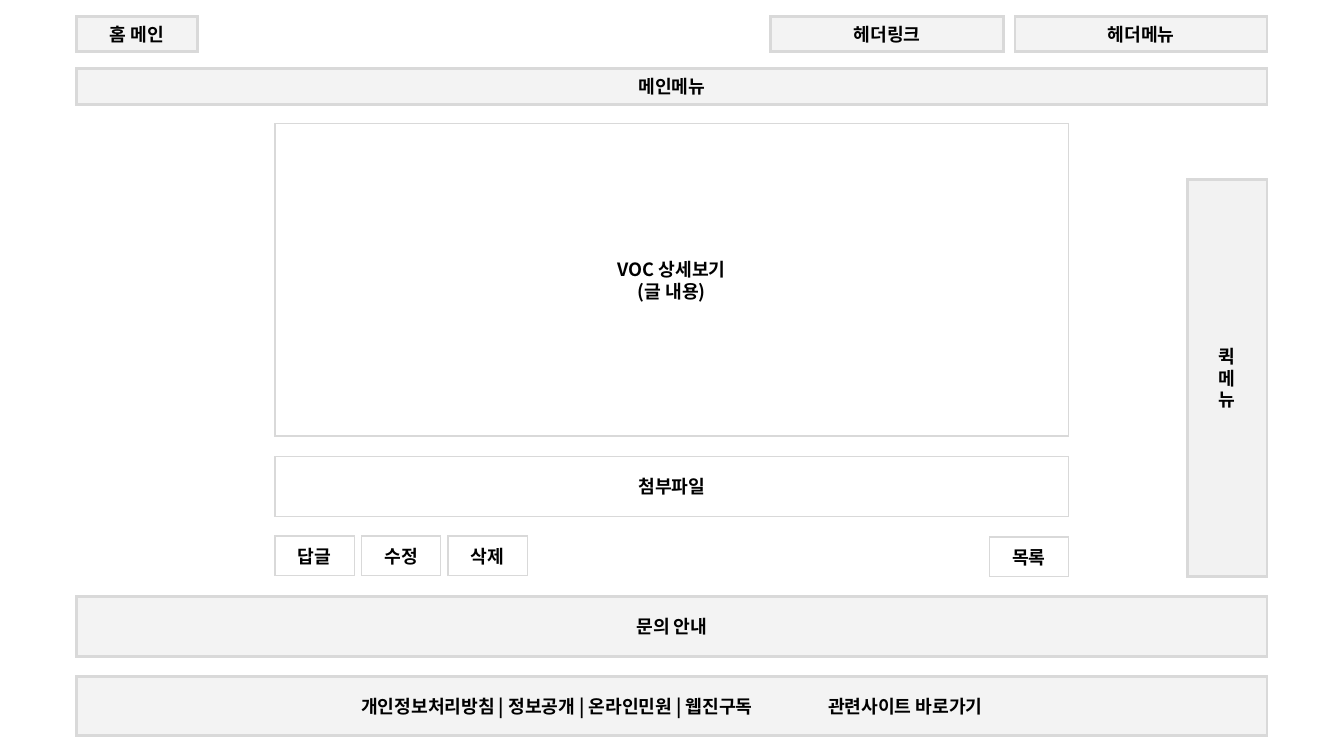
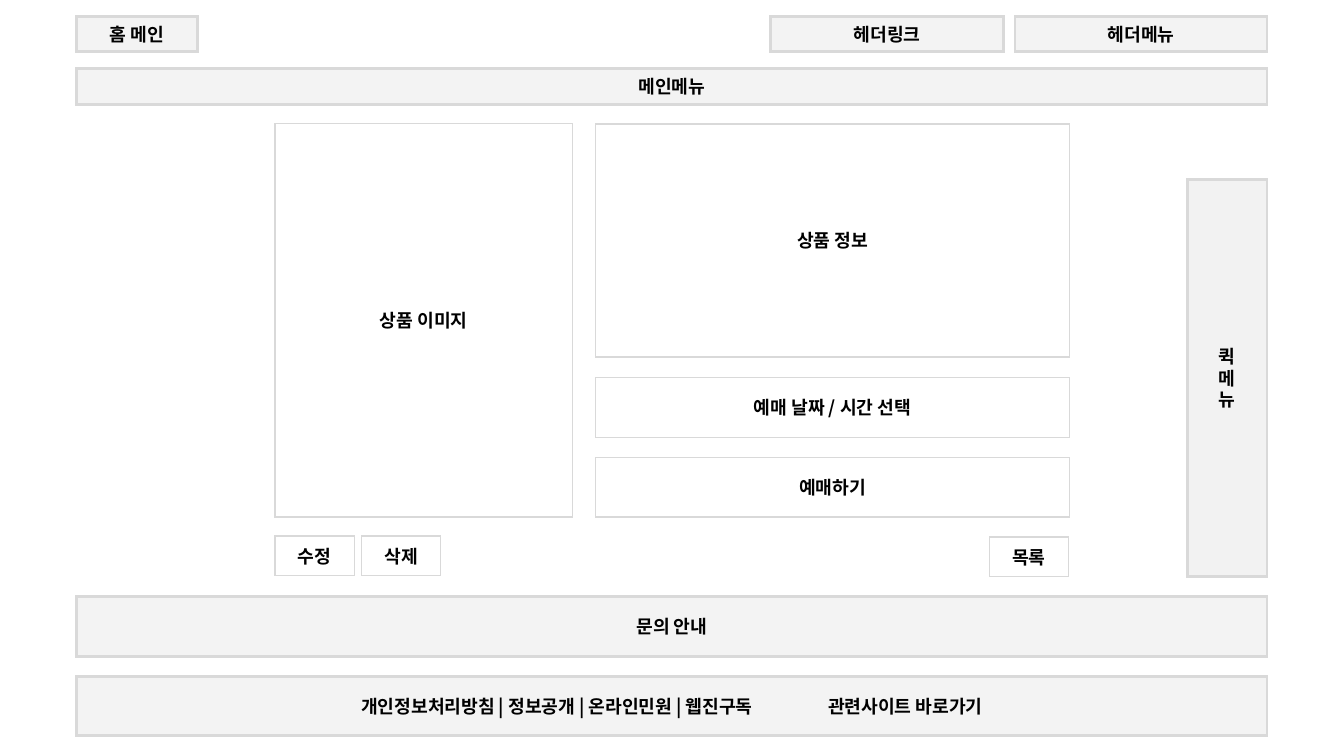
"""Build two wireframe slides: a VOC detail page and a product booking page."""
import lxml.etree
import pptx
import pptx.dml.color
import pptx.enum.shapes
import pptx.enum.text
import pptx.oxml.ns
import pptx.util

Cm = pptx.util.Cm
Pt = pptx.util.Pt
RGBColor = pptx.dml.color.RGBColor
qn = pptx.oxml.ns.qn

WHITE = RGBColor(0xFF, 0xFF, 0xFF)
BLACK = RGBColor(0, 0, 0)
LIGHT_GRAY = RGBColor(0xD9, 0xD9, 0xD9)
MID_GRAY = RGBColor(0xBF, 0xBF, 0xBF)
FONT = "Noto Sans CJK KR"

PAGE_LEFT, PAGE_WIDTH = 1.93, 30
PAGE_RIGHT = PAGE_LEFT + PAGE_WIDTH
CONTENT_LEFT, CONTENT_TOP, CONTENT_WIDTH = 6.93, 3.12, 20
CONTENT_RIGHT = CONTENT_LEFT + CONTENT_WIDTH
HEADER_TOP, HEADER_HEIGHT = 0.41, 0.9
ROW_HEIGHT = 1.5
BUTTON_TOP, BUTTON_WIDTH, BUTTON_HEIGHT, BUTTON_STEP = 13.51, 2, 1, 2.18
INFO_LEFT, INFO_WIDTH = 15.01, 11.94
FOOTER_GAP = 51


def style_paragraph(paragraph):
    """Centre a paragraph in the bold label font, for Latin and Korean."""
    paragraph.alignment = pptx.enum.text.PP_ALIGN.CENTER
    font = paragraph.font
    font.size, font.bold, font.name = Pt(13), True, FONT
    font.color.rgb = BLACK
    properties = paragraph._p.pPr.find(qn("a:defRPr"))
    lxml.etree.SubElement(properties, qn("a:ea"), typeface=FONT)


def add_box(slide, text, left, top, width, height, color=WHITE, line_width=1):
    """Add a sharp-cornered rectangle with one centred paragraph per text line."""
    box = slide.shapes.add_shape(pptx.enum.shapes.MSO_SHAPE.RECTANGLE,
                                 Cm(left), Cm(top), Cm(width), Cm(height))
    box.shadow.inherit = False
    box.fill.solid()
    box.fill.fore_color.rgb = color
    box.line.color.rgb = LIGHT_GRAY
    box.line.width = Pt(line_width)
    outline = box._element.spPr.find(qn("a:ln"))
    lxml.etree.SubElement(outline, qn("a:miter"), lim="800000")
    frame = box.text_frame
    frame.word_wrap = True
    frame.vertical_anchor = pptx.enum.text.MSO_ANCHOR.MIDDLE
    frame.text = text
    for paragraph in frame.paragraphs:
        style_paragraph(paragraph)
    return box


def add_region(slide, text, left, top, width, height, color=LIGHT_GRAY, opacity=30):
    """Add a translucent gray box for a part of the page frame."""
    region = add_box(slide, text, left, top, width, height, color, 2)
    fill_color = region._element.spPr.find(qn("a:solidFill"))[0]
    lxml.etree.SubElement(fill_color, qn("a:alpha"), val=str(opacity * 1000))
    return region


def add_footer(slide):
    """Add the footer with its policy links and a spaced-off site link."""
    footer = add_region(slide, "개인정보처리방침 | 정보공개 | 온라인민원 | 웹진구독",
                        PAGE_LEFT, 17.04, PAGE_WIDTH, ROW_HEIGHT)
    paragraph = footer.text_frame.paragraphs[0]
    gap = paragraph.add_run()
    gap.text = " "
    gap._r.get_or_add_rPr().set("spc", str(FOOTER_GAP * 100))
    paragraph.add_run().text = "관련사이트 바로가기"


def add_buttons(slide, labels):
    """Add a row of equally spaced buttons and the list button at the right."""
    for index, label in enumerate(labels):
        add_box(slide, label, CONTENT_LEFT + index * BUTTON_STEP, BUTTON_TOP,
                BUTTON_WIDTH, BUTTON_HEIGHT)
    add_box(slide, "목록", CONTENT_RIGHT - BUTTON_WIDTH, BUTTON_TOP + 0.02,
            BUTTON_WIDTH, BUTTON_HEIGHT)


def add_page(deck):
    """Add a blank slide with the shared header, menus and footer."""
    slide = deck.slides.add_slide(deck.slide_layouts[6])
    add_region(slide, "메인메뉴", PAGE_LEFT, 1.73, PAGE_WIDTH, HEADER_HEIGHT)
    for label, left, width in (("홈 메인", PAGE_LEFT, 3.05),
                               ("헤더메뉴", PAGE_RIGHT - 6.35, 6.35),
                               ("헤더링크", 19.41, 5.89)):
        add_region(slide, label, left, HEADER_TOP, width, HEADER_HEIGHT)
    add_region(slide, "문의 안내", PAGE_LEFT, 15.04, PAGE_WIDTH, ROW_HEIGHT)
    add_footer(slide)
    add_region(slide, "퀵\n메\n뉴", PAGE_RIGHT - 2, 4.52, 2, 10, MID_GRAY, 20)
    return slide


def add_voc_page(deck):
    """Add the VOC detail page."""
    slide = add_page(deck)
    add_box(slide, "VOC 상세보기\n(글 내용)", CONTENT_LEFT, CONTENT_TOP, CONTENT_WIDTH, 7.87)
    add_box(slide, "첨부파일", CONTENT_LEFT, 11.51, CONTENT_WIDTH, ROW_HEIGHT)
    add_buttons(slide, ("답글", "수정", "삭제"))


def add_product_page(deck):
    """Add the product booking page."""
    slide = add_page(deck)
    add_box(slide, "상품 이미지", CONTENT_LEFT, CONTENT_TOP, 7.5, 9.91)
    for label, top, height in (("상품 정보", CONTENT_TOP + 0.01, 5.87),
                               ("예매 날짜 / 시간 선택", 9.52, ROW_HEIGHT),
                               ("예매하기", 11.53, ROW_HEIGHT)):
        add_box(slide, label, INFO_LEFT, top, INFO_WIDTH, height)
    add_buttons(slide, ("수정", "삭제"))


def main():
    """Build and save the deck."""
    deck = pptx.Presentation()
    deck.slide_width, deck.slide_height = Cm(33.87), Cm(19.05)
    add_voc_page(deck)
    add_product_page(deck)
    deck.save("out.pptx")


if __name__ == "__main__":
    main()
